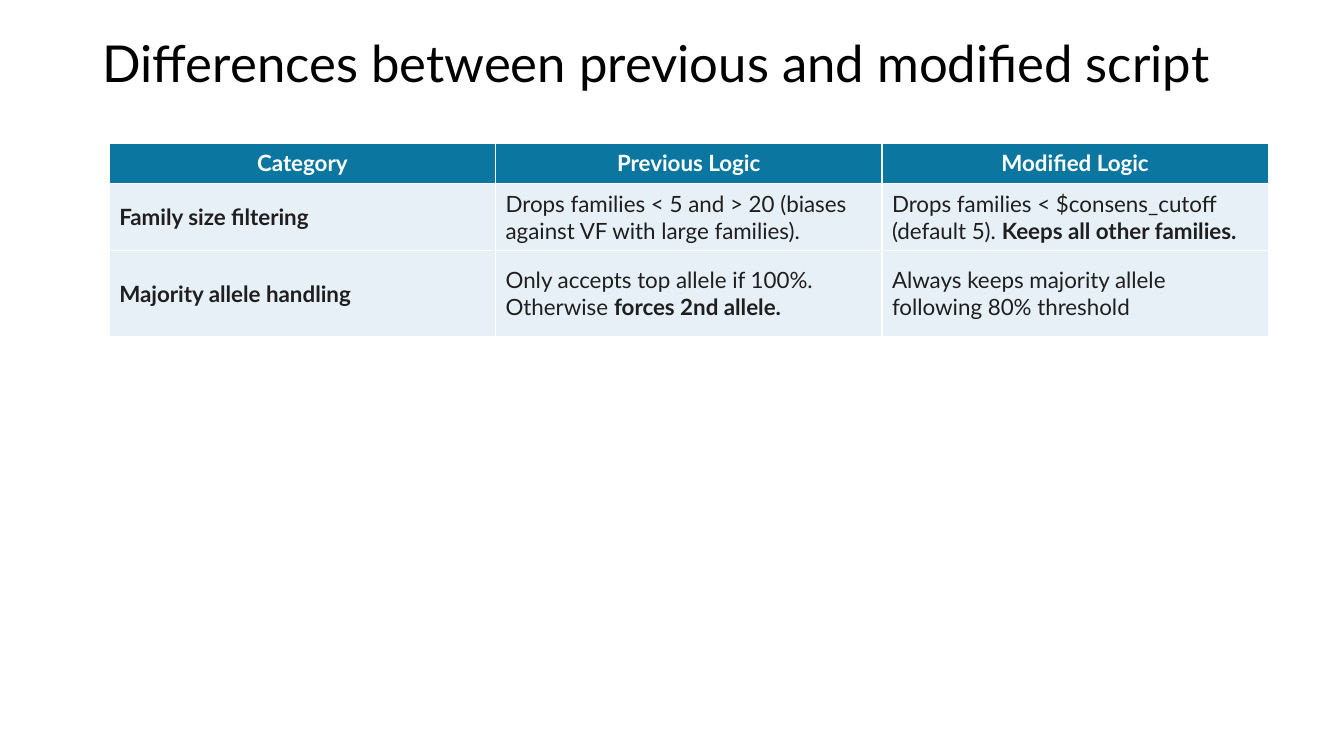
import pptx
import pptx.util
import pptx.dml.color
import pptx.enum.text
import pptx.oxml
import pptx.oxml.ns
from pptx.util import Pt

RGBColor = pptx.dml.color.RGBColor
BLACK = RGBColor(0x00, 0x00, 0x00)
WHITE = RGBColor(0xFF, 0xFF, 0xFF)
INK = RGBColor(0x1F, 0x1F, 0x1F)
TEAL = RGBColor(0x0B, 0x76, 0xA0)
PALE = RGBColor(0xE7, 0xF0, 0xF7)
FONT = "Lato"
MIDDLE = pptx.enum.text.MSO_ANCHOR.MIDDLE
ALIGN = pptx.enum.text.PP_ALIGN

TITLE = "Differences between previous and modified script"
ROW_HEIGHTS = (28.8, 48, 61.2)
ROWS = [
    [[("Category", True)], [("Previous Logic", True)], [("Modified Logic", True)]],
    [
        [("Family size filtering", True)],
        [("Drops families < 5 and > 20 (biases against VF with large families).", False)],
        [("Drops families < $consens_cutoff (default 5). ", False),
         ("Keeps all other families.", True)],
    ],
    [
        [("Majority allele handling", True)],
        [("Only accepts top allele if 100%. Otherwise ", False),
         ("forces 2nd allele.", True)],
        [("Always keeps majority allele following 80% threshold", False)],
    ],
]


def add_span(para, text, size, color, bold=False):
    """Append one formatted run to a paragraph."""
    span = para.add_run()
    span.text = text
    span.font.name = FONT
    span.font.size = Pt(size)
    span.font.bold = bold
    span.font.color.rgb = color


def set_borders(cell, color, width):
    """Draw a solid line on all four sides of a cell."""
    properties = cell._tc.get_or_add_tcPr()
    for index, side in enumerate(("lnL", "lnR", "lnT", "lnB")):
        line = pptx.oxml.parse_xml(
            f'<a:{side} {pptx.oxml.ns.nsdecls("a")} w="{Pt(width)}">'
            f'<a:solidFill><a:srgbClr val="{color}"/></a:solidFill></a:{side}>'
        )
        properties.insert(index, line)


def fill_title(page, left, top, width, height):
    """Place and write the slide title."""
    box = page.shapes.title
    box.left, box.top, box.width, box.height = map(Pt, (left, top, width, height))
    frame = box.text_frame
    frame.word_wrap = True
    frame.auto_size = pptx.enum.text.MSO_AUTO_SIZE.NONE
    frame.vertical_anchor = MIDDLE
    para = frame.paragraphs[0]
    para.alignment = ALIGN.LEFT
    para.line_spacing = 0.7
    add_span(para, TITLE, 36.3, BLACK)


def fill_cell(cell, spans, is_header):
    """Format one table cell and write its runs."""
    cell.fill.solid()
    cell.fill.fore_color.rgb = TEAL if is_header else PALE
    cell.vertical_anchor = MIDDLE
    cell.margin_left = cell.margin_right = Pt(7.2)
    cell.margin_top = cell.margin_bottom = Pt(4.8)
    set_borders(cell, WHITE, 1)
    para = cell.text_frame.paragraphs[0]
    para.alignment = ALIGN.CENTER if is_header else ALIGN.LEFT
    for text, bold in spans:
        add_span(para, text, 16, WHITE if is_header else INK, bold)


def add_comparison(page, left, top, width):
    """Add the table that compares the two scripts."""
    columns = len(ROWS[0])
    table = page.shapes.add_table(
        len(ROWS), columns, Pt(left), Pt(top), Pt(width), Pt(sum(ROW_HEIGHTS))
    ).table
    for column in table.columns:
        column.width = Pt(width / columns)
    for row_index, row in enumerate(ROWS):
        table.rows[row_index].height = Pt(ROW_HEIGHTS[row_index])
        for column_index, spans in enumerate(row):
            fill_cell(table.cell(row_index, column_index), spans, row_index == 0)


def main():
    """Build the deck and save it."""
    deck = pptx.Presentation()
    deck.slide_width, deck.slide_height = Pt(960), Pt(540)
    page = deck.slides.add_slide(deck.slide_layouts[5])
    fill_title(page, 66, 28.8, 828, 42.5)
    add_comparison(page, 78, 102.25, 828)
    deck.save("out.pptx")


if __name__ == "__main__":
    main()
